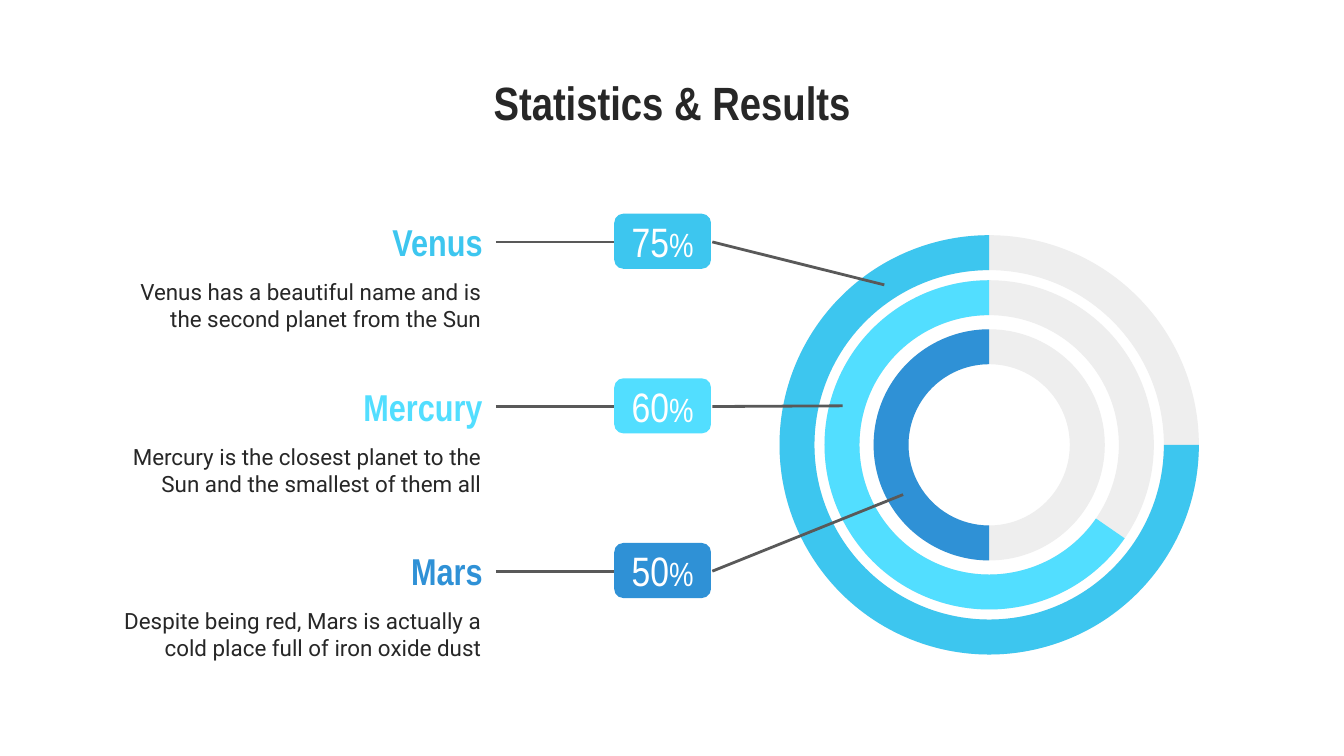
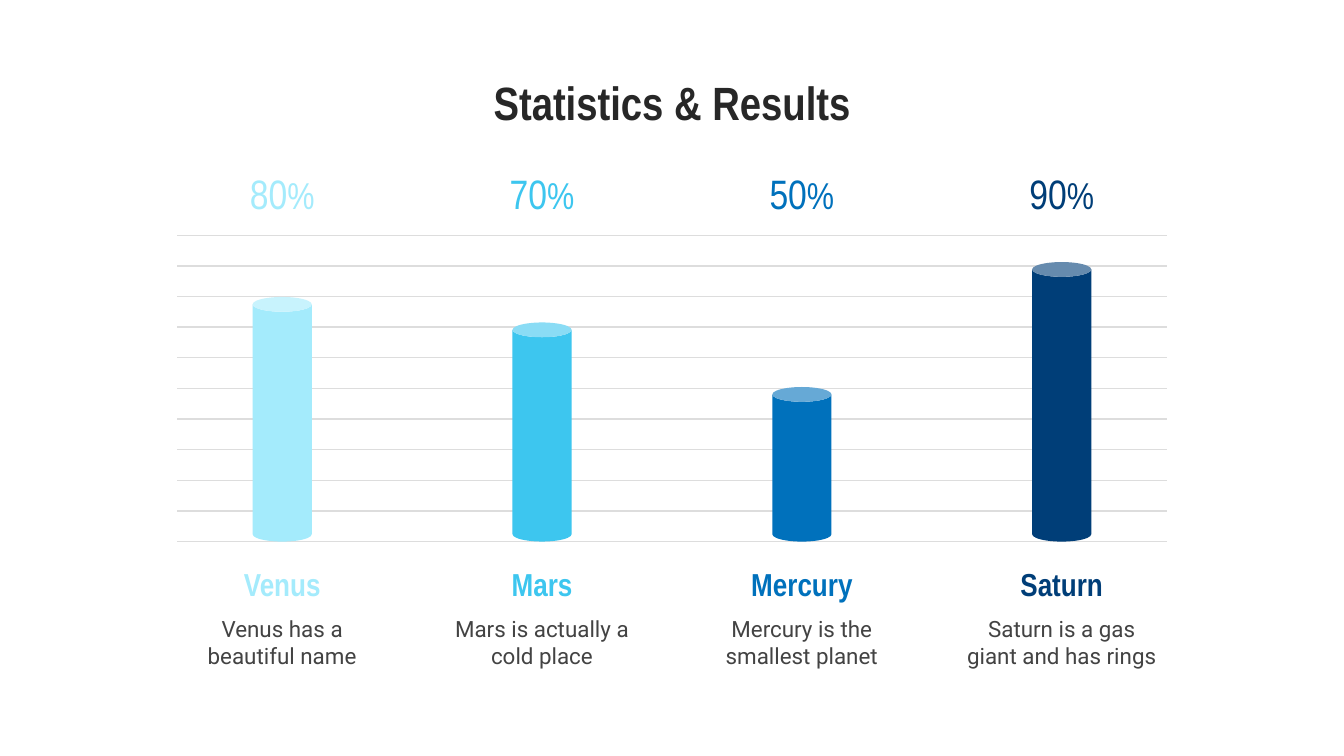
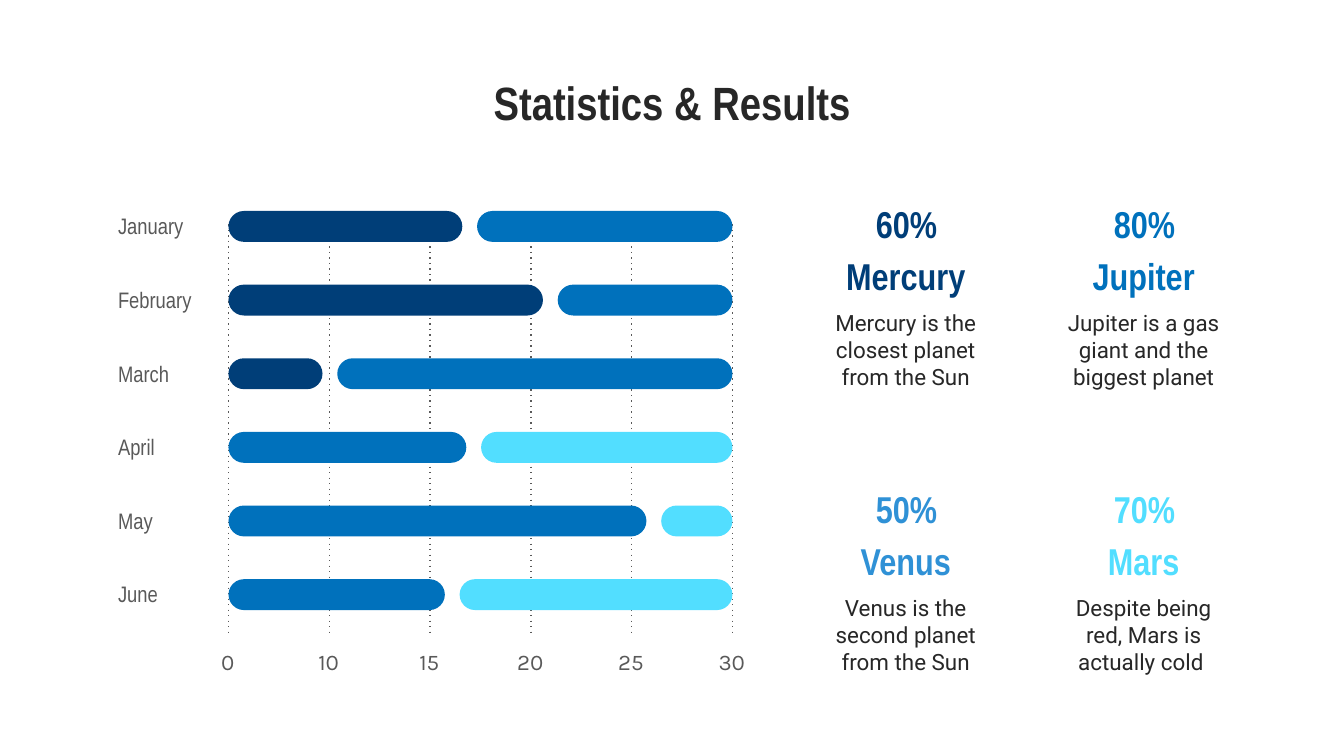
from lxml.etree import SubElement
from pptx import Presentation
from pptx.dml.color import RGBColor
from pptx.enum.shapes import MSO_CONNECTOR, MSO_SHAPE
from pptx.enum.text import MSO_ANCHOR, PP_ALIGN
from pptx.oxml.ns import qn
from pptx.util import Inches, Pt

HEADING_FONT, BODY_FONT, AXIS_FONT = "Arial Narrow", "Roboto", "Karla"
INK, BODY_GRAY, LINE_GRAY = "272727", "434343", "595959"
GRID_GRAY, TRACK_GRAY, WHITE = "DDDDDD", "EEEEEE", "FFFFFF"
NAVY, BLUE, MEDIUM_BLUE = "003E78", "0071BC", "2F91D6"
SKY, CYAN, PALE_BLUE = "3DC6EF", "52DEFF", "A4EBFC"


def color(hex_code):
    """Return the colour for a hex string."""
    return RGBColor.from_string(hex_code)


def write_text(shape, runs, font, hex_code, bold=False,
               align=PP_ALIGN.CENTER, anchor=MSO_ANCHOR.MIDDLE):
    """Fill a shape with one paragraph of (text, size) runs."""
    text_frame = shape.text_frame
    text_frame.word_wrap = True
    text_frame.vertical_anchor = anchor
    text_frame.margin_left = text_frame.margin_right = Inches(0.1)
    text_frame.margin_top = text_frame.margin_bottom = Inches(0.1)
    paragraph = text_frame.paragraphs[0]
    paragraph.alignment = align
    for text, size in runs:
        run = paragraph.add_run()
        run.text = text
        run.font.name = font
        run.font.size = Pt(size)
        run.font.bold = bold
        run.font.color.rgb = color(hex_code)


def add_text(slide, box, runs, font, hex_code, **style):
    """Add a text box at (left, top, width, height)."""
    shape = slide.shapes.add_textbox(*map(Inches, box))
    write_text(shape, runs, font, hex_code, **style)


def add_filled(slide, kind, box, fill, adjustments=()):
    """Add a preset shape with a plain fill and no outline."""
    shape = slide.shapes.add_shape(kind, *map(Inches, box))
    shape.shadow.inherit = False
    shape.fill.solid()
    shape.fill.fore_color.rgb = color(fill)
    shape.line.fill.background()
    for index, value in enumerate(adjustments):
        shape.adjustments[index] = value
    return shape


def add_line(slide, start, end, hex_code, width, dash=None):
    """Add a straight line between two points."""
    connector = slide.shapes.add_connector(
        MSO_CONNECTOR.STRAIGHT, *map(Inches, (*start, *end)))
    connector.line.width = Pt(width)
    connector.line.color.rgb = color(hex_code)
    properties = connector._element.spPr
    if dash:
        SubElement(properties.find(qn("a:ln")), qn("a:prstDash"), val=dash)
    SubElement(properties, qn("a:effectLst"))


def add_titled_slide(presentation):
    """Add a blank slide with the shared title."""
    slide = presentation.slides.add_slide(presentation.slide_layouts[6])
    add_text(slide, (0.5, 0.45, 9, 0.54), [("Statistics & Results", 25)],
             HEADING_FONT, INK, bold=True, anchor=MSO_ANCHOR.TOP)
    return slide


def add_ring(slide, diameter, start_angle, fill):
    """Add a gray ring with a coloured arc that ends at the top."""
    center_x, center_y, thickness = 7.36, 3.31, 0.26
    box = (center_x - diameter / 2, center_y - diameter / 2, diameter, diameter)
    ratio = thickness / diameter
    add_filled(slide, MSO_SHAPE.DONUT, box, TRACK_GRAY, [ratio])
    add_filled(slide, MSO_SHAPE.BLOCK_ARC, box, fill,
               [start_angle * 0.6, 270 * 0.6, ratio])


def add_ring_label(slide, top, name, number, description, fill, target):
    """Add a planet's name, description, badge and pointer to its ring."""
    middle = top + 0.21
    add_text(slide, (0.76, top + 0.37, 2.92, 0.62), [(description, 12)],
             BODY_FONT, INK, align=PP_ALIGN.RIGHT)
    badge = add_filled(slide, MSO_SHAPE.ROUNDED_RECTANGLE,
                       (4.57, top, 0.72, 0.41), fill, [0.167])
    write_text(badge, [(number, 22), ("%", 18)], HEADING_FONT, WHITE)
    add_line(slide, (5.3, middle), target, LINE_GRAY, 1.5)
    add_line(slide, (3.69, middle), (4.57, middle), LINE_GRAY, 1.5)
    add_text(slide, (1.63, top - 0.06, 2.06, 0.52), [(name, 20)], HEADING_FONT,
             fill, bold=True, align=PP_ALIGN.RIGHT, anchor=MSO_ANCHOR.TOP)


def add_cylinder(slide, center, height, name, number, description, fill):
    """Add a cylinder with its percentage, name and description."""
    add_text(slide, (center - 0.48, 1.27, 0.96, 0.34),
             [(number, 22), ("%", 20)], HEADING_FONT, fill)
    add_filled(slide, MSO_SHAPE.CAN, (center - 0.22, 4.03 - height, 0.44, height),
               fill, [0.25])
    add_text(slide, (center - 0.69, 4.2, 1.38, 0.29), [(name, 17)],
             HEADING_FONT, fill, bold=True)
    add_text(slide, (center - 0.83, 4.48, 1.66, 0.6), [(description, 12)],
             BODY_FONT, BODY_GRAY)


def add_month(slide, top, month, first_width, first_fill, second_fill):
    """Add a month label and its two-part bar."""
    left, right, gap, height = 1.7, 5.45, 0.11, 0.23
    second_left = left + first_width + gap
    for start, width, fill in ((left, first_width, first_fill),
                               (second_left, right - second_left, second_fill)):
        add_filled(slide, MSO_SHAPE.ROUNDED_RECTANGLE,
                   (start, top, width, height), fill, [0.5])
    add_text(slide, (0.78, top, 0.98, 0.22), [(month, 12)], HEADING_FONT,
             LINE_GRAY, align=PP_ALIGN.LEFT)


def add_planet_card(slide, left, top, percentage, name, description, fill):
    """Add a percentage, a planet name and a description."""
    add_text(slide, (left + 0.09, top, 1.29, 0.47), [(percentage, 20)],
             HEADING_FONT, fill, bold=True)
    add_text(slide, (left, top + 0.47, 1.46, 0.3), [(name, 20)],
             HEADING_FONT, fill, bold=True)
    add_text(slide, (left, top + 0.77, 1.46, 0.89), [(description, 12)],
             BODY_FONT, INK, anchor=MSO_ANCHOR.TOP)


def build_rings_slide(presentation):
    """Build the slide with three concentric rings."""
    slide = add_titled_slide(presentation)
    for ring in ((3.12, 0, SKY), (2.45, 34.6, CYAN), (1.72, 90, MEDIUM_BLUE)):
        add_ring(slide, *ring)
    planets = (
        ("Venus", "75", "Venus has a beautiful name and is the second planet from the Sun",
         SKY, (6.58, 2.12)),
        ("Mercury", "60", "Mercury is the closest planet to the Sun and the smallest of them all",
         CYAN, (6.27, 3.02)),
        ("Mars", "50", "Despite being red, Mars is actually a cold place full of iron oxide dust",
         MEDIUM_BLUE, (6.72, 3.68)),
    )
    for row, planet in enumerate(planets):
        add_ring_label(slide, 1.59 + row * 2.45 / 2, *planet)


def build_cylinders_slide(presentation):
    """Build the slide with four cylinders on a grid."""
    slide = add_titled_slide(presentation)
    for row in range(11):
        grid_y = 1.75 + row * 2.28 / 10
        add_line(slide, (1.32, grid_y), (8.68, grid_y), GRID_GRAY, 0.75)
    planets = (
        (1.82, "Venus", "80", "Venus has a beautiful name", PALE_BLUE),
        (1.63, "Mars", "70", "Mars is actually a cold place", SKY),
        (1.15, "Mercury", "50", "Mercury is the smallest planet", BLUE),
        (2.08, "Saturn", "90", "Saturn is a gas giant and has rings", NAVY),
    )
    for column, planet in enumerate(planets):
        add_cylinder(slide, 2.1 + column * 5.8 / 3, *planet)


def build_months_slide(presentation):
    """Build the slide with monthly bars and four planet cards."""
    slide = add_titled_slide(presentation)
    for column, label in enumerate(("0", "10", "15", "20", "25", "30")):
        grid_x = 1.7 + column * 0.75
        add_line(slide, (grid_x, 1.67), (grid_x, 4.7), LINE_GRAY, 0.75, "dot")
        add_text(slide, (grid_x - 0.33, 4.79, 0.65, 0.26), [(label, 12)],
                 AXIS_FONT, LINE_GRAY)
    months = (
        ("January", 1.74, NAVY, BLUE),
        ("February", 2.34, NAVY, BLUE),
        ("March", 0.7, NAVY, BLUE),
        ("April", 1.77, BLUE, CYAN),
        ("May", 3.11, BLUE, CYAN),
        ("June", 1.61, BLUE, CYAN),
    )
    for row, month in enumerate(months):
        add_month(slide, 1.57 + row * 2.74 / 5, *month)
    cards = (
        ("60%", "Mercury", "Mercury is the closest planet from the Sun", NAVY),
        ("80%", "Jupiter", "Jupiter is a gas giant and the biggest planet", BLUE),
        ("50%", "Venus", "Venus is the second planet from the Sun", MEDIUM_BLUE),
        ("70%", "Mars", "Despite being red, Mars is actually cold ", CYAN),
    )
    for index, card in enumerate(cards):
        row, column = divmod(index, 2)
        add_planet_card(slide, 6.01 + column * 1.77, 1.43 + row * 2.12, *card)


def main():
    """Build and save the presentation."""
    presentation = Presentation()
    presentation.slide_width = Inches(10)
    presentation.slide_height = Inches(10 * 9 / 16)
    build_rings_slide(presentation)
    build_cylinders_slide(presentation)
    build_months_slide(presentation)
    presentation.save("out.pptx")


if __name__ == "__main__":
    main()
